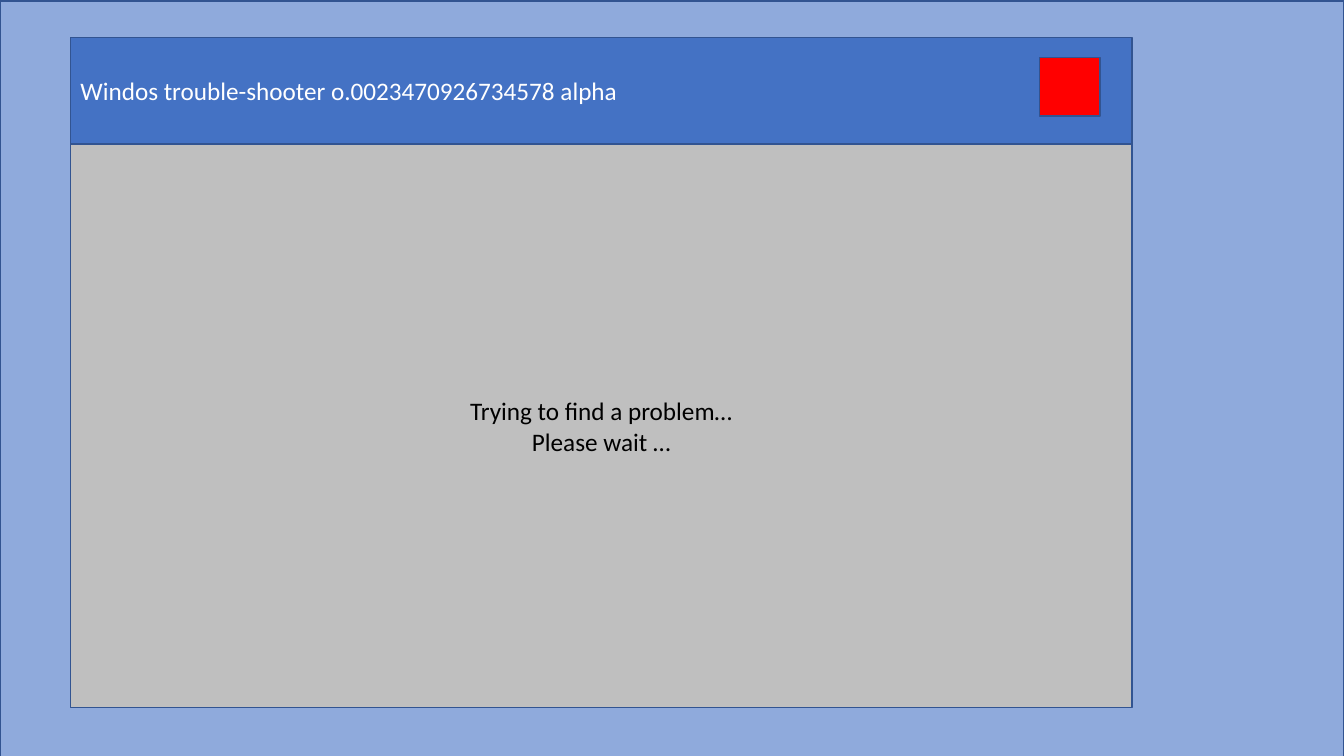
"""Build a slide showing a mock trouble-shooter window on a desktop."""
from dataclasses import dataclass

from pptx import Presentation
from pptx.dml.color import RGBColor
from pptx.enum.shapes import MSO_SHAPE
from pptx.enum.text import MSO_ANCHOR, PP_ALIGN
from pptx.util import Pt

RECTANGLE = MSO_SHAPE.RECTANGLE
MIDDLE = MSO_ANCHOR.MIDDLE
LEFT, CENTER = PP_ALIGN.LEFT, PP_ALIGN.CENTER


@dataclass(frozen=True)
class Theme:
    desktop: str = "8FAADC"
    outline: str = "325491"
    content: str = "BFBFBF"
    title_bar: str = "4472C4"
    close_button: str = "FF0000"
    dark_text: str = "000000"
    light_text: str = "FFFFFF"
    font: str = "Calibri"
    text_size: int = 18
    line_width: int = 1


theme = Theme()


def add_panel(page, left, top, width, height, fill):
    panel = page.shapes.add_shape(RECTANGLE, Pt(left), Pt(top), Pt(width), Pt(height))
    panel.shadow.inherit = False
    panel.fill.solid()
    panel.fill.fore_color.rgb = RGBColor.from_string(fill)
    panel.line.color.rgb = RGBColor.from_string(theme.outline)
    panel.line.width = Pt(theme.line_width)
    return panel


def write_lines(panel, lines, color, alignment):
    frame = panel.text_frame
    frame.word_wrap = True
    frame.vertical_anchor = MIDDLE
    for index, line in enumerate(lines):
        para = frame.add_paragraph() if index else frame.paragraphs[0]
        para.alignment = alignment
        span = para.add_run()
        span.text = line
        span.font.name = theme.font
        span.font.size = Pt(theme.text_size)
        span.font.color.rgb = RGBColor.from_string(color)


deck = Presentation()
page_width, page_height = 960, 540
deck.slide_width, deck.slide_height = Pt(page_width), Pt(page_height)
page = deck.slides.add_slide(deck.slide_layouts[6])

window_left, window_top, window_width = 50.4, 26.7, 758.2
bar_height, content_height = 76.3, 402.4

add_panel(page, 0, 0.7, page_width, page_height, theme.desktop)

content = add_panel(page, window_left, window_top + bar_height,
                    window_width, content_height, theme.content)
write_lines(content, ["Trying to find a problem…", "Please wait …"],
            theme.dark_text, CENTER)

title_bar = add_panel(page, window_left, window_top,
                      window_width, bar_height, theme.title_bar)
write_lines(title_bar, ["Windos trouble-shooter o.0023470926734578 alpha"],
            theme.light_text, LEFT)

add_panel(page, 742.3, 41, 43.5, 42, theme.close_button)

deck.save("out.pptx")
